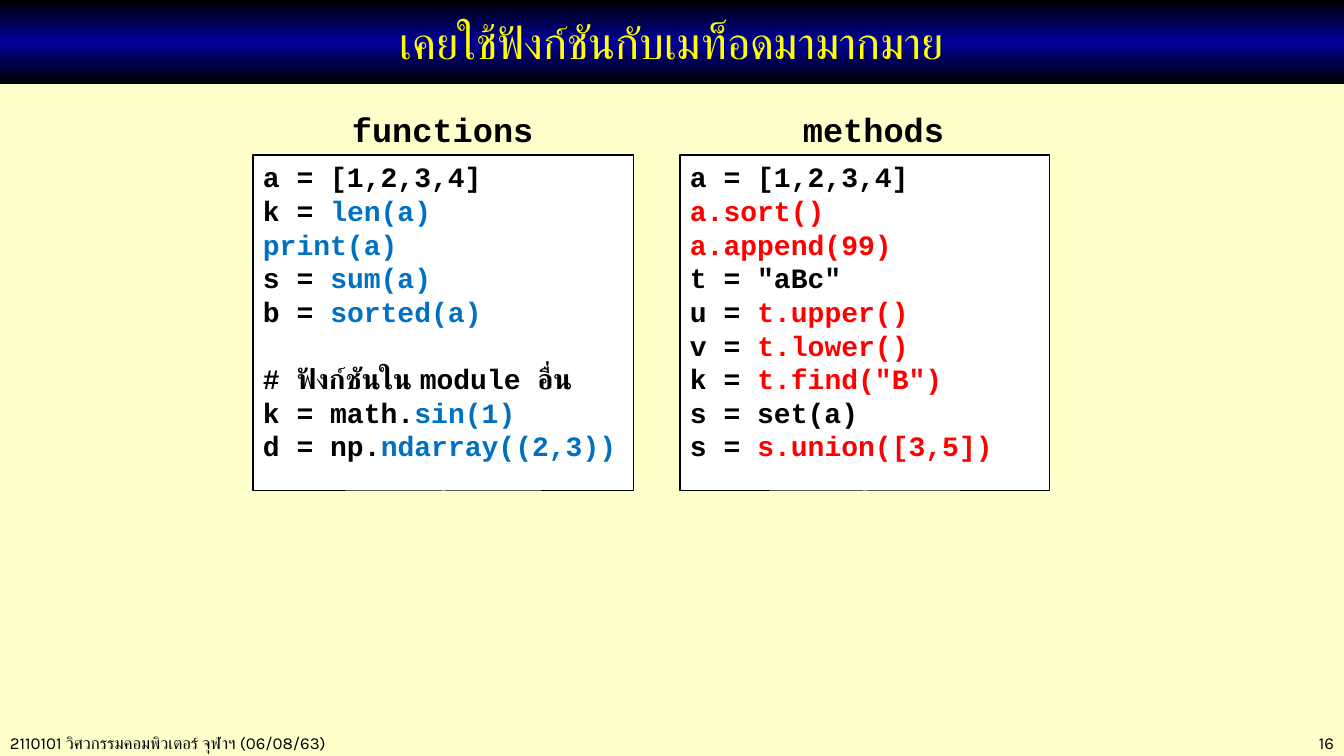
import pptx
import pptx.dml.color
import pptx.enum.dml
import pptx.enum.shapes
import pptx.enum.text
import pptx.oxml
import pptx.oxml.ns
import pptx.util

BLACK = pptx.dml.color.RGBColor(0x00, 0x00, 0x00)
WHITE = pptx.dml.color.RGBColor(0xFF, 0xFF, 0xFF)
CREAM = pptx.dml.color.RGBColor(0xFF, 0xFF, 0xCC)
NAVY = pptx.dml.color.RGBColor(0x00, 0x00, 0x99)
YELLOW = pptx.dml.color.RGBColor(0xFF, 0xFF, 0x00)
BLUE = pptx.dml.color.RGBColor(0x00, 0x70, 0xC0)
RED = pptx.dml.color.RGBColor(0xFF, 0x00, 0x00)

FUNCTION_LINES = [
    ("a = [1,2,3,4]", ""),
    ("k = ", "len(a)"),
    ("", "print(a)"),
    ("s = ", "sum(a)"),
    ("b = ", "sorted(a)"),
    ("# ฟังก์ชันใน module อื่น", ""),
    ("k = math.", "sin(1)"),
    ("d = np.", "ndarray((2,3))"),
]
METHOD_LINES = [
    ("a = [1,2,3,4]", ""),
    ("", "a.sort()"),
    ("", "a.append(99)"),
    ('t = "aBc"', ""),
    ("u = ", "t.upper()"),
    ("v = ", "t.lower()"),
    ("k = ", 't.find("B")'),
    ("s = set(a)", ""),
    ("s = ", "s.union([3,5])"),
]


def add_run(paragraph, text, font="Karla", size=12, color=BLACK, bold=False):
    """Append formatted text to a paragraph."""
    run = paragraph.add_run()
    run.text = text
    run.font.name = font
    run.font.size = pptx.util.Pt(size)
    run.font.bold = bold
    run.font.color.rgb = color


class CodeSlide:
    """Hold the slide and its style, and draw each kind of element."""

    code_font = "Courier New"
    code_size = 20
    line_pitch = 24

    def __init__(self, presentation):
        """Add a title-only slide with a cream background."""
        self.slide = presentation.slides.add_slide(presentation.slide_layouts[5])
        self.slide.background.fill.solid()
        self.slide.background.fill.fore_color.rgb = CREAM

    @staticmethod
    def px(*lengths):
        """Turn pixel lengths into EMU."""
        return [pptx.util.Inches(length / 100.8) for length in lengths]

    def title(self, text, left, top, width, height):
        """Format the title placeholder as a banner."""
        shape = self.slide.shapes.title
        shape.left, shape.top, shape.width, shape.height = self.px(left, top, width, height)
        shape.fill.gradient()
        shape.fill.gradient_angle = 270
        stops = shape.fill.gradient_stops
        for stop, color, position in zip(stops, (BLACK, NAVY), (0, 0.5)):
            stop.color.rgb = color
            stop.position = position
        stop_list = shape.element.spPr.find(".//" + pptx.oxml.ns.qn("a:gsLst"))
        stop_list.append(pptx.oxml.parse_xml(
            f'<a:gs {pptx.oxml.ns.nsdecls("a")} pos="100000">'
            f'<a:srgbClr val="{BLACK}"/></a:gs>'))
        frame = shape.text_frame
        frame.auto_size = pptx.enum.text.MSO_AUTO_SIZE.NONE
        frame.vertical_anchor = pptx.enum.text.MSO_ANCHOR.MIDDLE
        paragraph = frame.paragraphs[0]
        paragraph.alignment = pptx.enum.text.PP_ALIGN.CENTER
        add_run(paragraph, text, size=32, color=YELLOW)

    def label(self, text, left, top, width, height, align="LEFT", wrap=True, **style):
        """Add a single line of text."""
        frame = self.slide.shapes.add_textbox(*self.px(left, top, width, height)).text_frame
        frame.word_wrap = wrap
        paragraph = frame.paragraphs[0]
        paragraph.alignment = pptx.enum.text.PP_ALIGN[align]
        add_run(paragraph, text, **style)

    def heading(self, text, left, top, width, height):
        """Add the heading above a code box."""
        self.label(text, left, top, width, height, wrap=False,
                   font=self.code_font, size=24, bold=True)

    def code(self, lines, highlight, left, top, width, height):
        """Add a framed listing with highlighted calls."""
        shape = self.slide.shapes.add_shape(
            pptx.enum.shapes.MSO_SHAPE.RECTANGLE, *self.px(left, top, width, height))
        shape.shadow.inherit = False
        shape.fill.solid()
        shape.fill.fore_color.rgb = WHITE
        shape.line.color.rgb = BLACK
        shape.line.width = pptx.util.Pt(0.75)
        frame = shape.text_frame
        frame.word_wrap = False
        frame.vertical_anchor = pptx.enum.text.MSO_ANCHOR.TOP
        for index, parts in enumerate(lines):
            paragraph = frame.add_paragraph() if index else frame.paragraphs[0]
            paragraph.alignment = pptx.enum.text.PP_ALIGN.LEFT
            paragraph.line_spacing = pptx.util.Pt(self.line_pitch)
            if parts[0].startswith("#"):
                paragraph.space_before = pptx.util.Pt(self.line_pitch)
            for text, color in zip(parts, (BLACK, highlight)):
                if text:
                    add_run(paragraph, text, font=self.code_font,
                            size=self.code_size, color=color, bold=True)


def main():
    """Build the slide and save it."""
    presentation = pptx.Presentation()
    presentation.slide_width, presentation.slide_height = CodeSlide.px(1344, 756)
    page = CodeSlide(presentation)
    page.label("2110101 วิศวกรรมคอมพิวเตอร์ จุฬาฯ (06/08/63)", 0, 728, 524, 30)
    page.label("16", 1159, 728, 185, 30, align="RIGHT")
    page.title("เคยใช้ฟังก์ชันกับเมท็อดมามากมาย", 0, 0, 1344, 84)
    page.code(METHOD_LINES, RED, 680, 155, 370, 336)
    page.code(FUNCTION_LINES, BLUE, 253, 155, 381, 336)
    page.heading("functions", 342, 104, 204, 50)
    page.heading("methods", 793, 104, 162, 50)
    presentation.save("out.pptx")


if __name__ == "__main__":
    main()
